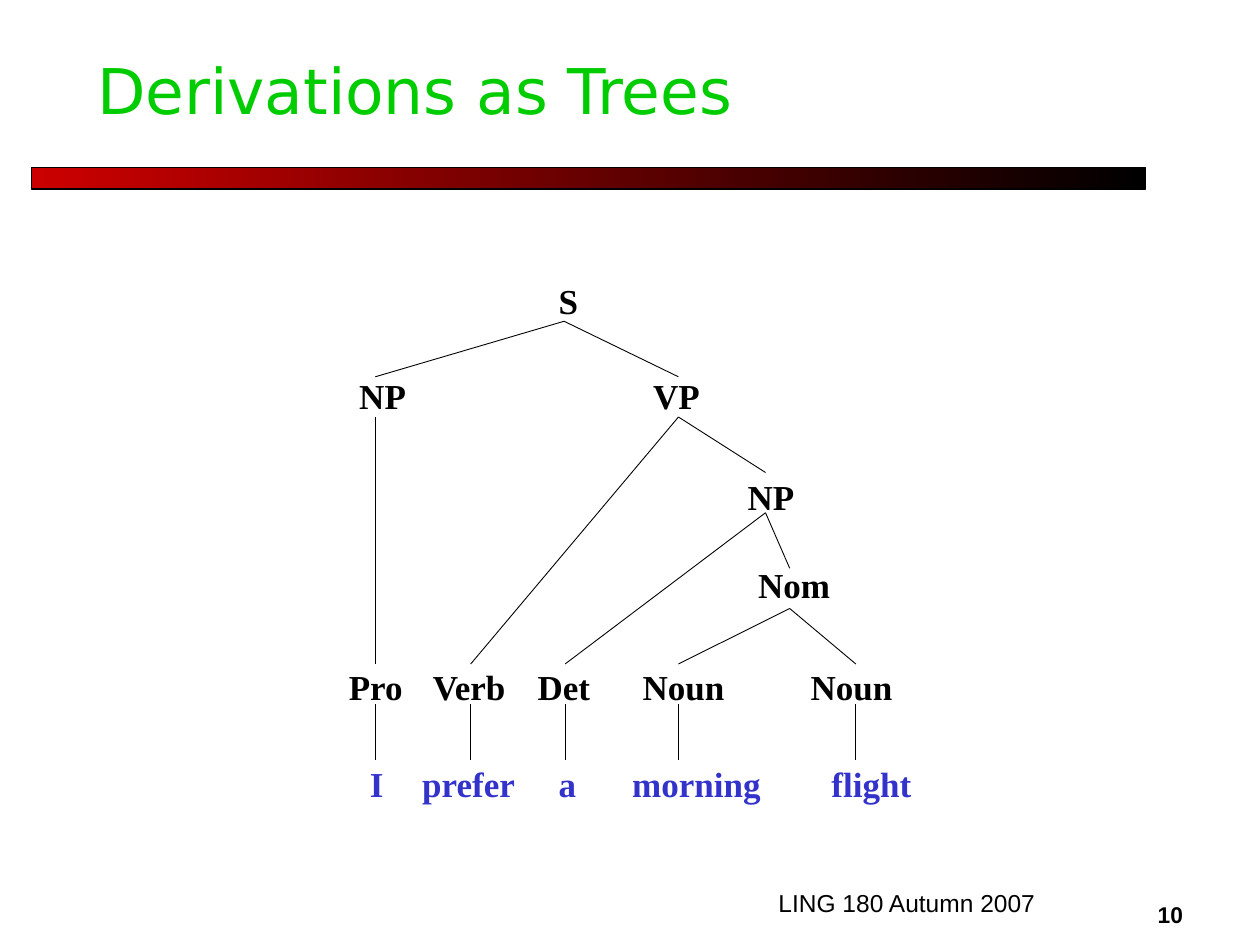
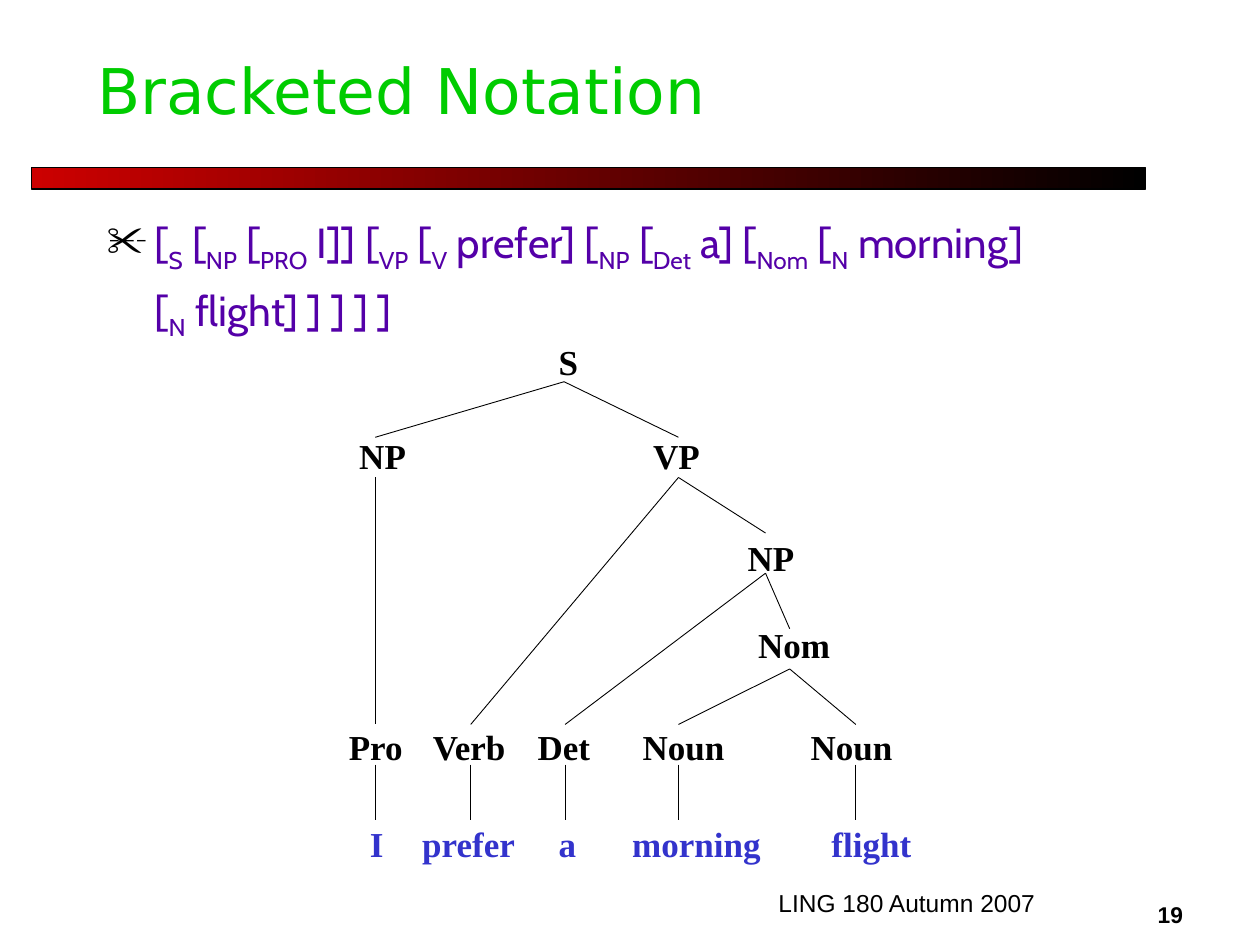
import collections

import pptx
import pptx.dml.color
import pptx.enum.shapes
import pptx.enum.text
import pptx.oxml
import pptx.util
from pptx.oxml.ns import qn

Box = collections.namedtuple("Box", "left top width height")
Node = collections.namedtuple("Node", "label level column span joint children")

BLACK, GREEN, RED = "000000", "00CC00", "CC0000"
WORD_BLUE, BRACKET_PURPLE = "3333CC", "5400A8"
SANS, SERIF = "Arial", "Times New Roman"

SLIDE = Box(0, 0, 10, 7.5)
TITLE = Box(0.67, 0.17, 8.58, 1.08)
BAND = Box(0.25, 1.33, 8.84, 0.17)
COURSE = Box(6.08, 7, 3, 0.33)
PAGE = Box(9.09, 7.1, 0.9, 0.32)
BRACKETS = Box(0.75, 1.67, 8.58, 5)
TREE = Box(2.67, 2.17, 4.83, 4.27)
LOWER_TREE = TREE._replace(top=2.65)

# Tree grid: label rows follow the levels, branches leave and arrive at a fixed pitch.
TREE_COLUMNS, TREE_ROWS = 58, 5.62
LABEL_ROWS = [0, 0.99, 2.05, 2.96, 4.03, 5.04]
LABEL_HEIGHT = 0.58
BRANCH_START, BRANCH_END = 0.5, 0.08
WORD_LEVEL = 5


def tagged(tag, column, span, joint, word, word_column, word_span):
    """A part of speech with its word straight below."""
    leaf = Node(word, WORD_LEVEL, word_column, word_span, joint, [])
    return Node(tag, WORD_LEVEL - 1, column, span, joint, [leaf])


SENTENCE = Node("S", 0, 20, 4, 21.7, [
    Node("NP", 1, 1, 8, 3.7, [tagged("Pro", 0, 8, 3.7, "I", 2, 4)]),
    Node("VP", 1, 29, 8, 32.6, [
        tagged("Verb", 8, 10, 12.8, "prefer", 7, 13),
        Node("NP", 2, 38, 8, 40.9, [
            tagged("Det", 18, 8, 21.8, "a", 20, 4),
            Node("Nom", 3, 39, 11, 43.2, [
                tagged("Noun", 28, 11, 32.6, "morning", 27, 15),
                tagged("Noun", 44, 11, 49.5, "flight", 46, 12),
            ]),
        ]),
    ]),
])

# Within a line, every second piece is a subscript.
BRACKET_LINES = [
    ["[", "S", " [", "NP", " [", "PRO", " I]] [", "VP", " [", "V", " prefer] [", "NP",
     " [", "Det", " a] [", "Nom", " [", "N", " morning]"],
    ["[", "N", " flight] ] ] ] ]"],
]


def color(hex_code):
    return pptx.dml.color.RGBColor.from_string(hex_code)


def inches(*lengths):
    return [pptx.util.Inches(length) for length in lengths]


def add_run(paragraph, text, size, font, hex_code, bold=False):
    run = paragraph.add_run()
    run.text = text
    run.font.size = pptx.util.Pt(size)
    run.font.name = font
    run.font.bold = bold
    run.font.color.rgb = color(hex_code)
    return run


def add_text_frame(shapes, box):
    frame = shapes.add_textbox(*inches(*box)).text_frame
    frame.word_wrap = True
    return frame


def add_title(slide, text):
    title = slide.shapes.title
    title.left, title.top, title.width, title.height = inches(*TITLE)
    title.text_frame.vertical_anchor = pptx.enum.text.MSO_ANCHOR.MIDDLE
    paragraph = title.text_frame.paragraphs[0]
    paragraph.alignment = pptx.enum.text.PP_ALIGN.LEFT
    add_run(paragraph, text, 36, "DejaVu Sans", GREEN)


def add_band(slide):
    band = slide.shapes.add_shape(pptx.enum.shapes.MSO_SHAPE.RECTANGLE, *inches(*BAND))
    band.shadow.inherit = False
    band.fill.gradient()
    band.fill.gradient_angle = 0
    for stop, hex_code in zip(band.fill.gradient_stops, (RED, BLACK)):
        stop.color.rgb = color(hex_code)
    band.line.color.rgb = color(BLACK)
    band.line.width = pptx.util.Pt(0.75)


def add_footer(slide, page_number):
    course = add_text_frame(slide.shapes, COURSE)
    course.vertical_anchor = pptx.enum.text.MSO_ANCHOR.BOTTOM
    add_run(course.paragraphs[0], "LING 180 Autumn 2007", 14, SANS, BLACK)
    page = add_text_frame(slide.shapes, PAGE)
    add_run(page.paragraphs[0], str(page_number), 13, SANS, BLACK, bold=True)


def add_lecture_slide(deck, title, page_number):
    slide = deck.slides.add_slide(deck.slide_layouts.get_by_name("Title Only"))
    add_band(slide)
    add_footer(slide, page_number)
    add_title(slide, title)
    return slide


def walk(node):
    yield node
    for child in node.children:
        yield from walk(child)


def add_branch(shapes, start, end):
    branch = shapes.add_connector(
        pptx.enum.shapes.MSO_CONNECTOR.STRAIGHT, *inches(*start, *end))
    branch.line.color.rgb = color(BLACK)
    branch.line.width = pptx.util.Pt(0.5)
    properties = branch._element.spPr
    properties.append(pptx.oxml.xmlchemy.OxmlElement("a:effectLst"))


def add_tree(slide, root, box):
    shapes = slide.shapes.add_group_shape().shapes
    column, row = box.width / TREE_COLUMNS, box.height / TREE_ROWS

    def point(columns, rows):
        return box.left + columns * column, box.top + rows * row

    for parent in walk(root):
        for child in parent.children:
            add_branch(shapes, point(parent.joint, parent.level + BRANCH_START),
                       point(child.joint, child.level + BRANCH_END))
    for node in walk(root):
        corner = point(node.column, LABEL_ROWS[node.level])
        frame = add_text_frame(
            shapes, Box(*corner, node.span * column, LABEL_HEIGHT * row))
        paragraph = frame.paragraphs[0]
        paragraph.space_before = pptx.util.Pt(12.5)
        hex_code = WORD_BLUE if node.level == WORD_LEVEL else BLACK
        add_run(paragraph, node.label, 20, SERIF, hex_code, bold=True)


def add_scissors_bullet(paragraph, indent):
    properties = paragraph._p.get_or_add_pPr()
    properties.set("indent", str(-indent))
    bullet_color = pptx.oxml.xmlchemy.OxmlElement("a:buClr")
    shade = pptx.oxml.xmlchemy.OxmlElement("a:srgbClr")
    shade.set("val", BLACK)
    bullet_color.append(shade)
    bullet = pptx.oxml.xmlchemy.OxmlElement("a:buChar")
    bullet.set("char", "✂")
    properties.extend([bullet_color, bullet])


def add_bracket_notation(slide, box):
    frame = add_text_frame(slide.shapes, box)
    indent = pptx.util.Inches(0.38)
    for number, pieces in enumerate(BRACKET_LINES):
        paragraph = frame.add_paragraph() if number else frame.paragraphs[0]
        paragraph.space_before = pptx.util.Pt(6)
        paragraph._p.get_or_add_pPr().set("marL", str(indent))
        if number == 0:
            add_scissors_bullet(paragraph, indent)
        for position, piece in enumerate(pieces):
            run = add_run(paragraph, piece, 24, "Cabin", BRACKET_PURPLE)
            if position % 2:
                run._r.find(qn("a:rPr")).set("baseline", "-25000")


def main():
    deck = pptx.Presentation()
    deck.slide_width, deck.slide_height = inches(SLIDE.width, SLIDE.height)

    derivations = add_lecture_slide(deck, "Derivations as Trees", 10)
    add_tree(derivations, SENTENCE, TREE)

    notation = add_lecture_slide(deck, "Bracketed Notation", 19)
    add_bracket_notation(notation, BRACKETS)
    add_tree(notation, SENTENCE, LOWER_TREE)

    deck.save("out.pptx")


if __name__ == "__main__":
    main()
